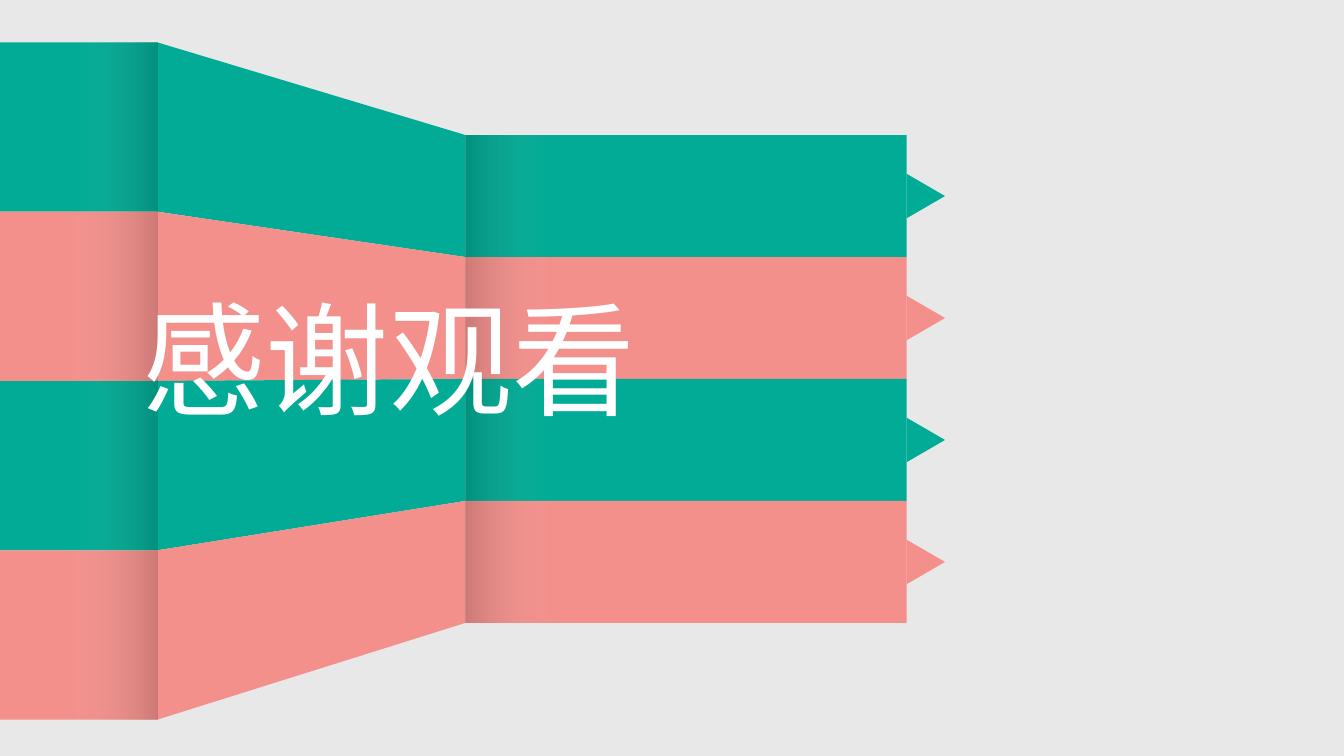
from lxml.etree import SubElement
from pptx import Presentation
from pptx.dml.color import RGBColor
from pptx.enum.shapes import MSO_SHAPE
from pptx.oxml.ns import qn
from pptx.util import Inches, Pt

COLOURS = {"background": "E8E8E8", "green": "01AB95", "pink": "F3908C",
           "white": "FFFFFF", "black": "000000"}
TITLE = "感谢观看"
FONT = "Noto Sans CJK SC"
STRIPES = ["green", "pink", "green", "pink"]

SLIDE_WIDTH, SLIDE_HEIGHT = 13.34, 7.5
LEFT_FOLD, RIGHT_FOLD, RIBBON_END = 1.56, 4.62, 9.0
NEAR_TOP, NEAR_STRIPE = 0.42, 1.68
FAR_TOP, FAR_STRIPE = 1.34, 1.21
SHADOW_WIDTH = 0.87
TIP_BASE, TIP_LENGTH = 0.44, 0.38


def rgb(name):
    return RGBColor.from_string(COLOURS[name])


def paint(shape, colour):
    shape.shadow.inherit = False
    shape.line.fill.background()
    shape.fill.solid()
    shape.fill.fore_color.rgb = rgb(colour)


def add_block(slide, left, top, width, height, colour, kind=MSO_SHAPE.RECTANGLE):
    shape = slide.shapes.add_shape(
        kind, Inches(left), Inches(top), Inches(width), Inches(height))
    paint(shape, colour)
    return shape


def add_slanted_stripe(slide, corners, colour):
    points = [(Inches(x), Inches(y)) for x, y in corners]
    builder = slide.shapes.build_freeform(*points[0])
    builder.add_line_segments(points[1:], close=True)
    paint(builder.convert_to_shape(), colour)


def add_fold_shadow(slide, left, top, height, angle):
    """Shade from clear to 16 % black along the angle."""
    shape = add_block(slide, left, top, SHADOW_WIDTH, height, "black")
    shape.fill.gradient()
    shape.fill.gradient_angle = angle
    for stop, colour in zip(shape.fill.gradient_stops, ("white", "black")):
        stop.color.rgb = rgb(colour)
    gradient = shape._element.spPr.find(qn("a:gradFill"))
    for colour, alpha in zip(gradient.iter(qn("a:srgbClr")), (0, 16000)):
        SubElement(colour, qn("a:alpha")).set("val", str(alpha))


def add_title(slide):
    box = slide.shapes.add_textbox(Inches(1.32), Inches(2.76), Inches(7.56), Inches(1.57))
    box.text_frame.word_wrap = True
    paragraph = box.text_frame.paragraphs[0]
    paragraph.text = TITLE
    font = paragraph.runs[0].font
    font.size, font.name = Pt(88), FONT
    font.color.rgb = rgb("white")
    SubElement(font._element, qn("a:ea")).set("typeface", FONT)


def main():
    presentation = Presentation()
    presentation.slide_width = Inches(SLIDE_WIDTH)
    presentation.slide_height = Inches(SLIDE_HEIGHT)
    slide = presentation.slides.add_slide(presentation.slide_layouts[6])
    slide.background.fill.solid()
    slide.background.fill.fore_color.rgb = rgb("background")

    for row, colour in enumerate(STRIPES):
        near = NEAR_TOP + row * NEAR_STRIPE
        far = FAR_TOP + row * FAR_STRIPE
        add_block(slide, 0, near, LEFT_FOLD, NEAR_STRIPE, colour)
        add_slanted_stripe(slide, [
            (LEFT_FOLD, near), (RIGHT_FOLD, far),
            (RIGHT_FOLD, far + FAR_STRIPE), (LEFT_FOLD, near + NEAR_STRIPE)], colour)
        add_block(slide, RIGHT_FOLD, far, RIBBON_END - RIGHT_FOLD, FAR_STRIPE, colour)
        tip = add_block(
            slide, RIBBON_END + (TIP_LENGTH - TIP_BASE) / 2,
            far + (FAR_STRIPE - TIP_LENGTH) / 2,
            TIP_BASE, TIP_LENGTH, colour, MSO_SHAPE.ISOSCELES_TRIANGLE)
        tip.rotation = 90

    count = len(STRIPES)
    add_fold_shadow(slide, RIGHT_FOLD, FAR_TOP, count * FAR_STRIPE, 180)
    add_fold_shadow(slide, LEFT_FOLD - SHADOW_WIDTH, NEAR_TOP, count * NEAR_STRIPE, 0)
    add_title(slide)
    presentation.save("out.pptx")


if __name__ == "__main__":
    main()
